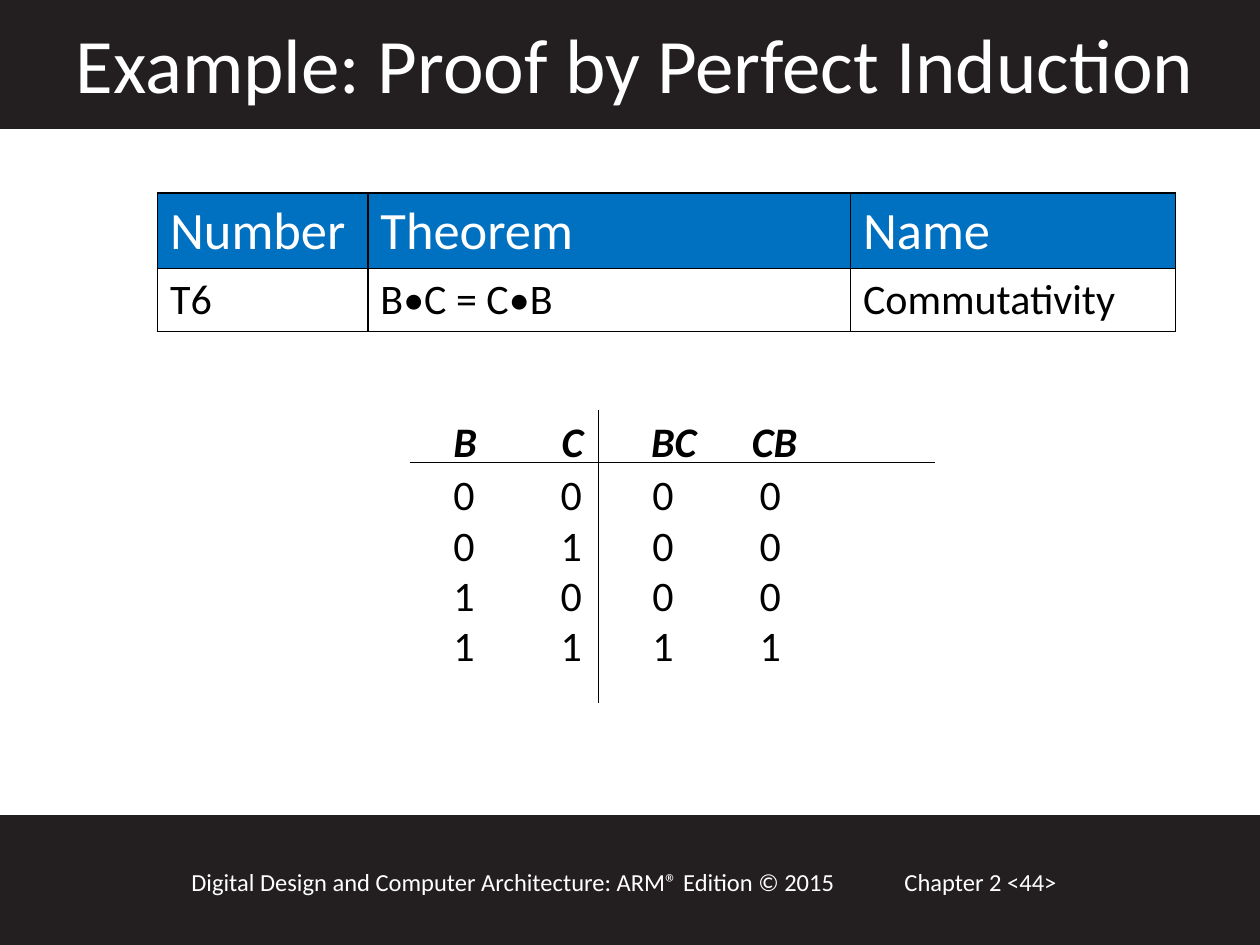
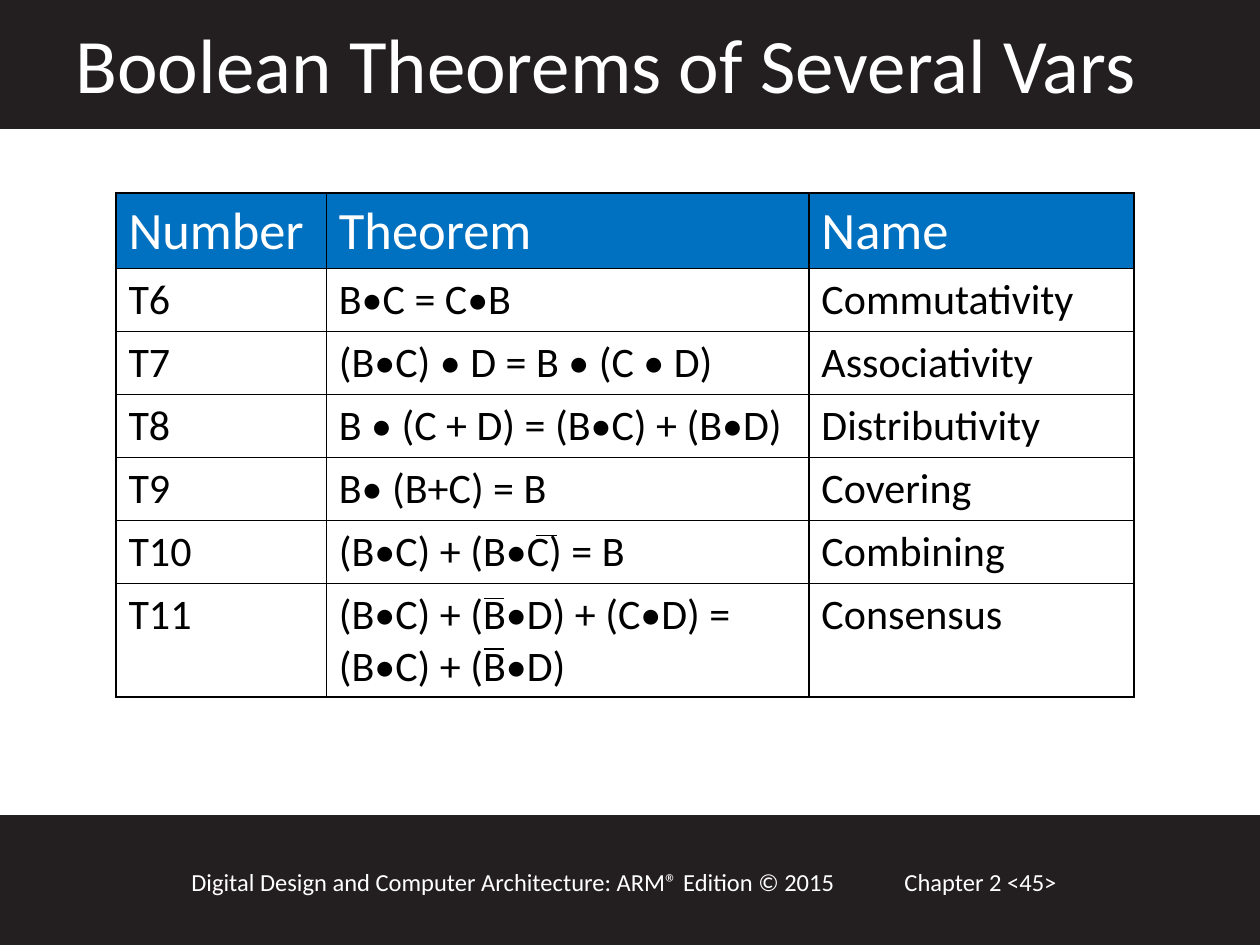
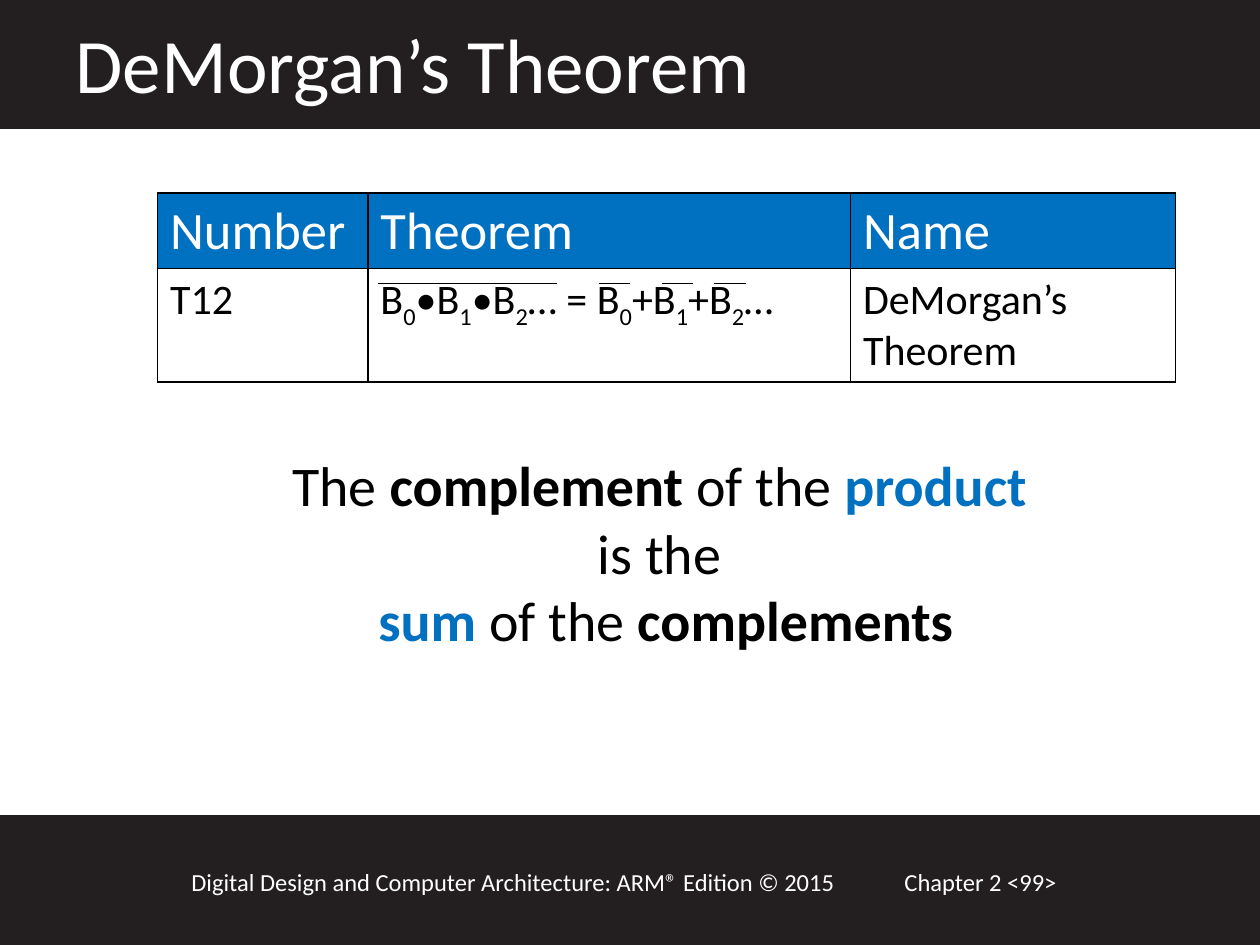
"""Build three slides on Boolean theorems of several variables."""
from lxml import etree
from pptx import Presentation
from pptx.dml.color import RGBColor
from pptx.enum import shapes, text
from pptx.oxml import ns
from pptx.util import Inches, Pt

BLACK = RGBColor(0x00, 0x00, 0x00)
WHITE = RGBColor(0xFF, 0xFF, 0xFF)
BAND = RGBColor(0x23, 0x1F, 0x20)
BLUE = RGBColor(0x00, 0x70, 0xC0)
FONT = "Calibri"
HEADINGS = ("Number", "Theorem", "Name")
COLUMN_WIDTHS = (1.67, 3.83, 2.58)
HEADER_HEIGHT, LINE_HEIGHT, CELL_PADDING = 0.6, 0.4, 0.1
TABLE_TOP = 1.53

SLIDES = [
    {
        "title": "Example: Proof by Perfect Induction",
        "title_width": 9.67,
        "page": 44,
        "table_left": 1.25,
        "theorems": [("T6", "B•C = C•B", "Commutativity", 1)],
        "rules": [(3.25, 3.67, 7.42, 3.67), (4.75, 3.25, 4.75, 5.58)],
    },
    {
        "title": "Boolean Theorems of Several Vars",
        "title_width": 8.67,
        "page": 45,
        "table_left": 0.92,
        "theorems": [
            ("T6", "B•C = C•B", "Commutativity", 1),
            ("T7", "(B•C) • D = B • (C • D)", "Associativity", 1),
            ("T8", "B • (C + D) = (B•C) + (B•D)", "Distributivity", 1),
            ("T9", "B• (B+C) = B", "Covering", 1),
            ("T10", "(B•C) + (B•C) = B", "Combining", 1),
            ("T11", "(B•C) + (B•D) + (C•D) =\n(B•C) + (B•D)", "Consensus", 2),
        ],
        "rules": [(4.25, 4.25, 4.42, 4.25), (3.84, 4.75, 4, 4.75), (3.84, 5.15, 4, 5.15)],
    },
    {
        "title": "DeMorgan’s Theorem",
        "title_width": 8.67,
        "page": 99,
        "table_left": 1.25,
        "theorems": [("T12", "B_0•B_1•B_2… = B_0+B_1+B_2…", "DeMorgan’s Theorem", 2)],
        "rules": [(3, 2.25, 4.42, 2.25), (4.75, 2.25, 5, 2.25),
                  (5.25, 2.25, 5.5, 2.25), (5.67, 2.25, 5.92, 2.25)],
    },
]


def format_paragraph(paragraph, size, color):
    """Set the shared font with a size and colour."""
    paragraph.font.name = FONT
    paragraph.font.size = Pt(size)
    paragraph.font.color.rgb = color


def add_text(slide, left, top, width, height, lines, size, color, tabs=()):
    """Add a wrapping text box with one paragraph per line."""
    box = slide.shapes.add_textbox(Inches(left), Inches(top), Inches(width), Inches(height))
    box.text_frame.word_wrap = True
    box.text_frame.text = "\n".join(lines)
    for paragraph in box.text_frame.paragraphs:
        if tabs:
            properties = paragraph._p.get_or_add_pPr()
            tab_list = etree.SubElement(properties, ns.qn("a:tabLst"))
            for position in tabs:
                etree.SubElement(tab_list, ns.qn("a:tab"), pos=str(Inches(position)), algn="l")
        format_paragraph(paragraph, size, color)
    return box


presentation = Presentation()
presentation.slide_width = Inches(10)
presentation.slide_height = Inches(7.5)
layout = presentation.slide_layouts[5]
slides = [presentation.slides.add_slide(layout) for _ in SLIDES]

shared_shapes = []
for top, height in ((6.48, 1.02), (0, 1.01)):
    band = slides[0].shapes.add_shape(
        shapes.MSO_SHAPE.RECTANGLE, 0, Inches(top), Inches(10), Inches(height))
    band.shadow.inherit = False
    band.fill.solid()
    band.fill.fore_color.rgb = BAND
    band.line.color.rgb = BAND
    band.line.width = Pt(2)
    shared_shapes.append(band)
shared_shapes.append(add_text(
    slides[0], 1.42, 6.83, 5.75, 0.34,
    ["Digital Design and Computer Architecture: ARM® Edition © 2015"], 14, WHITE))
for shape in shared_shapes:
    layout.shapes._spTree.append(shape._element)

for slide, content in zip(slides, SLIDES):
    title = slide.shapes.title
    title.left, title.top = Inches(0.5), Inches(0.08)
    title.width, title.height = Inches(content["title_width"]), Inches(0.84)
    title.text_frame.text = content["title"]
    title.text_frame.word_wrap = True
    title.text_frame.auto_size = text.MSO_AUTO_SIZE.NONE
    title.text_frame.vertical_anchor = text.MSO_ANCHOR.TOP
    paragraph = title.text_frame.paragraphs[0]
    paragraph.alignment = text.PP_ALIGN.LEFT
    format_paragraph(paragraph, 44, WHITE)
    add_text(slide, 7.08, 6.83, 2.17, 0.34, [f"Chapter 2 <{content['page']}>"], 14, WHITE)

    theorems = content["theorems"]
    heights = [HEADER_HEIGHT] + [LINE_HEIGHT * row[3] + CELL_PADDING for row in theorems]
    table = slide.shapes.add_table(
        len(heights), len(HEADINGS), Inches(content["table_left"]), Inches(TABLE_TOP),
        Inches(sum(COLUMN_WIDTHS)), Inches(sum(heights))).table
    table.first_row = False
    table.horz_banding = False
    for column, width in zip(table.columns, COLUMN_WIDTHS):
        column.width = Inches(width)
    for row, height in zip(table.rows, heights):
        row.height = Inches(height)
    for row_index, values in enumerate([HEADINGS] + [row[:3] for row in theorems]):
        size, color, fill = (24, BLACK, WHITE) if row_index else (30, WHITE, BLUE)
        for column_index, value in enumerate(values):
            cell = table.cell(row_index, column_index)
            properties = cell._tc.get_or_add_tcPr()
            for side in ("lnL", "lnR", "lnT", "lnB"):
                border = etree.SubElement(properties, ns.qn(f"a:{side}"), w=str(Pt(1)))
                border_fill = etree.SubElement(border, ns.qn("a:solidFill"))
                etree.SubElement(border_fill, ns.qn("a:srgbClr"), val=str(BLACK))
            cell.fill.solid()
            cell.fill.fore_color.rgb = fill
            first, *subscripted = value.split("_")
            cell.text_frame.text = first
            for part in subscripted:
                paragraph = cell.text_frame.paragraphs[0]
                subscript = paragraph.add_run()
                subscript.text = part[0]
                subscript.font._element.set("baseline", "-25000")
                paragraph.add_run().text = part[1:]
            for paragraph in cell.text_frame.paragraphs:
                format_paragraph(paragraph, size, color)

    for x1, y1, x2, y2 in content["rules"]:
        rule = slide.shapes.add_connector(
            shapes.MSO_CONNECTOR.STRAIGHT, Inches(x1), Inches(y1), Inches(x2), Inches(y2))
        rule.line.color.rgb = BLACK
        rule.line.width = Pt(0.75)
        etree.SubElement(rule._element.spPr, ns.qn("a:effectLst"))

induction, _, demorgan = slides
heading = add_text(induction, 3.5, 3.25, 5.83, 0.5, ["B\tC\tBC\tCB"], 24, BLACK, (0.86, 1.57, 2.37))
heading.text_frame.paragraphs[0].font.bold = True
heading.text_frame.paragraphs[0].font.italic = True
inputs = [(b, c) for b in (0, 1) for c in (0, 1)]
products = [(b & c, c & b) for b, c in inputs]
for left, pairs in ((3.5, inputs), (5.08, products)):
    add_text(induction, left, 3.67, 1.25, 1.72,
             [f"{first}\t{second}" for first, second in pairs], 24, BLACK, (0.85,))

statement = [
    [("The ", BLACK, False), ("complement ", BLACK, True),
     ("of the ", BLACK, False), ("product ", BLUE, True)],
    [("is the ", BLACK, False)],
    [("sum ", BLUE, True), ("of the ", BLACK, False), ("complements", BLACK, True)],
]
box = add_text(demorgan, 1.25, 3.53, 8.07, 1.72, [""] * len(statement), 32, BLACK)
for paragraph, runs in zip(box.text_frame.paragraphs, statement):
    paragraph.alignment = text.PP_ALIGN.CENTER
    for words, color, bold in runs:
        run = paragraph.add_run()
        run.text = words
        run.font.bold = bold
        run.font.color.rgb = color

presentation.save("out.pptx")
